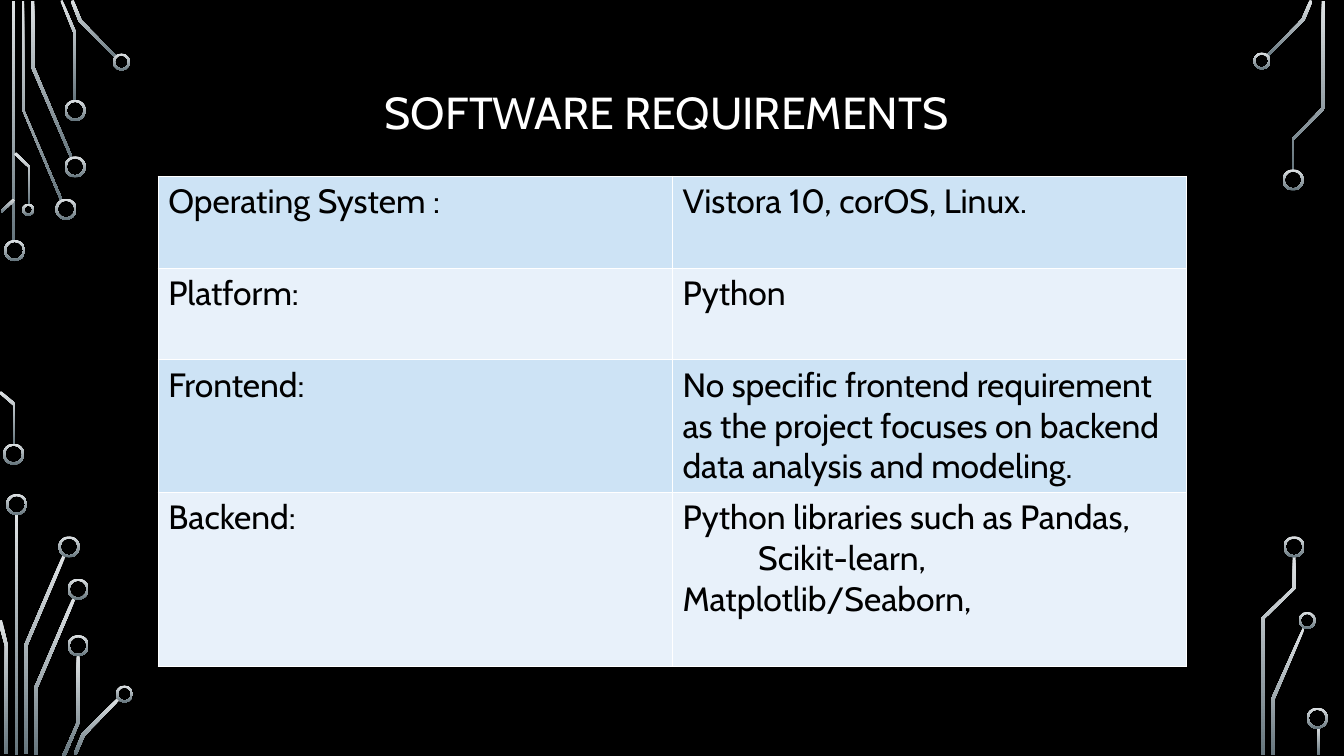
import pptx
import pptx.dml.color
import pptx.enum.shapes
import pptx.enum.text
import pptx.oxml
import pptx.oxml.ns
import pptx.util

RGB = pptx.dml.color.RGBColor
SHAPE = pptx.enum.shapes.MSO_SHAPE
BLACK = RGB(0x00, 0x00, 0x00)
WHITE = RGB(0xFF, 0xFF, 0xFF)
SILVER = RGB(0xDF, 0xE3, 0xE5)
SLATE = RGB(0x65, 0x75, 0x7D)
ROW_FILLS = (RGB(0xCD, 0xE3, 0xF5), RGB(0xE8, 0xF1, 0xFA))

BARS = [(12, 1, 3, 239), (15, 510, 3, 239), (1306, 721, 3, 28)]
RINGS = [
    (4, 238, 21), (3, 440, 21), (55, 197, 21), (64, 155, 21), (64, 99, 21),
    (112, 53, 17), (22, 202, 12), (6, 490, 21), (58, 532, 21), (67, 574, 21),
    (67, 630, 21), (115, 680, 17), (1243, 52, 17), (1272, 168, 21),
    (1288, 607, 17), (1273, 532, 21), (1296, 702, 21),
]
TRACES = [
    [(60, 199), (22, 109), (22, 1), (24, 1), (24, 109), (62, 198)],
    [(70, 157), (31, 67), (31, 1), (34, 1), (34, 66), (72, 156)],
    [(76, 100), (73, 100), (73, 33), (60, 1), (62, 0), (76, 33)],
    [(115, 58), (78, 21), (70, 1), (73, 0), (81, 20), (116, 56)],
    [(2, 211), (1, 209), (13, 197), (15, 199)],
    [(15, 441), (13, 441), (13, 402), (-1, 390), (1, 388), (15, 400)],
    [(30, 203), (28, 203), (28, 166), (14, 153), (16, 151), (30, 165)],
    [(27, 748), (24, 748), (24, 640), (62, 551), (65, 552), (27, 641)],
    [(8, 748), (5, 748), (5, 641), (-2, 616), (2, 615), (8, 641)],
    [(37, 749), (34, 749), (34, 682), (72, 593), (75, 594), (37, 683)],
    [(65, 750), (62, 749), (76, 717), (76, 650), (79, 650), (79, 717)],
    [(76, 749), (73, 748), (81, 728), (117, 692), (119, 694), (84, 730)],
    [(1258, 56), (1256, 55), (1291, 19), (1299, 0), (1302, 1), (1294, 20)],
    [(1264, 749), (1261, 749), (1261, 693), (1292, 623), (1294, 624), (1264, 694)],
    [(1283, 169), (1281, 169), (1281, 138), (1311, 107),
     (1311, 1), (1314, 1), (1314, 108), (1283, 139)],
    [(1254, 749), (1251, 749), (1251, 613), (1282, 583),
     (1282, 552), (1285, 552), (1285, 584), (1254, 614)],
]
REQUIREMENTS = [
    ("Operating System :", "Vistora 10, corOS, Linux."),
    ("Platform:", "Python"),
    ("Frontend:", "No specific frontend requirement as the project focuses "
                  "on backend data analysis and modeling."),
    ("Backend:", "Python libraries such as Pandas,\nScikit-learn, Matplotlib/Seaborn,"),
]
ROW_HEIGHTS = (91, 91, 131, 173)


class Deck:
    """Draws styled elements on the current slide, in px of 1/100 inch."""

    PX = 9144
    TITLE = {"name": "Cabin", "size": pptx.util.Pt(32), "color": WHITE}
    BODY = {"name": "Cabin", "size": pptx.util.Pt(24), "color": BLACK, "bold": False}

    def __init__(self, width, height):
        self.prs = pptx.Presentation()
        self.prs.slide_width, self.prs.slide_height = self.emu(width, height)
        self.s = self.prs.slides.add_slide(self.prs.slide_layouts[5])
        fill = self.s.background.fill
        fill.solid()
        fill.fore_color.rgb = BLACK

    def emu(self, *lengths):
        return [pptx.util.Emu(n * self.PX) for n in lengths]

    def format(self, font, style):
        for key, value in style.items():
            if key == "color":
                font.color.rgb = value
            else:
                setattr(font, key, value)

    def metal(self, sp):
        sp.shadow.inherit = False
        sp.line.fill.background()
        sp.fill.gradient()
        sp.fill.gradient_angle = 270
        for stop, color in zip(sp.fill.gradient_stops, (SILVER, SLATE)):
            stop.color.rgb = color

    def bar(self, x, y, w, h):
        self.metal(self.s.shapes.add_shape(SHAPE.RECTANGLE, *self.emu(x, y, w, h)))

    def ring(self, x, y, size):
        sp = self.s.shapes.add_shape(SHAPE.DONUT, *self.emu(x, y, size, size))
        sp.adjustments[0] = 2 / size
        self.metal(sp)

    def trace(self, points):
        builder = self.s.shapes.build_freeform(*points[0], scale=self.PX)
        builder.add_line_segments(points[1:], close=True)
        self.metal(builder.convert_to_shape())

    def title(self, text, x, y, w, h):
        sp = self.s.shapes.title
        sp.left, sp.top, sp.width, sp.height = self.emu(x, y, w, h)
        tf = sp.text_frame
        tf.text = text
        tf.word_wrap = True
        tf.auto_size = pptx.enum.text.MSO_AUTO_SIZE.NONE
        tf.vertical_anchor = pptx.enum.text.MSO_ANCHOR.MIDDLE
        p = tf.paragraphs[0]
        p.alignment = pptx.enum.text.PP_ALIGN.CENTER
        p.line_spacing = 0.9
        self.format(p.runs[0].font, self.TITLE)

    def borders(self, cell):
        tcPr = cell._tc.get_or_add_tcPr()
        for side in ("lnL", "lnR", "lnT", "lnB"):
            tcPr.append(pptx.oxml.parse_xml(
                f'<a:{side} {pptx.oxml.ns.nsdecls("a")} w="12700"><a:solidFill>'
                f'<a:srgbClr val="{WHITE}"/></a:solidFill></a:{side}>'))

    def cell(self, cell, text, color):
        self.borders(cell)
        cell.fill.solid()
        cell.fill.fore_color.rgb = color
        cell.text = text
        for i, p in enumerate(cell.text_frame.paragraphs):
            if i:
                p._p.get_or_add_pPr().set("indent", str(75 * self.PX))
            self.format(p.runs[0].font, self.BODY)

    def table(self, rows, heights, x, y, w):
        frame = self.s.shapes.add_table(
            len(rows), len(rows[0]), *self.emu(x, y, w, sum(heights)))
        table = frame.table
        table.first_row = table.horz_banding = False
        for i, (texts, height) in enumerate(zip(rows, heights)):
            table.rows[i].height = self.emu(height)[0]
            for j, text in enumerate(texts):
                self.cell(table.cell(i, j), text, ROW_FILLS[i % 2])


def main():
    deck = Deck(1333, 750)
    for bar in BARS:
        deck.bar(*bar)
    for points in TRACES:
        deck.trace(points)
    for ring in RINGS:
        deck.ring(*ring)
    deck.title("SOFTWARE REQUIREMENTS ", 125, 33, 1083, 162)
    deck.table(REQUIREMENTS, ROW_HEIGHTS, 157, 175, 1020)
    deck.prs.save("out.pptx")


if __name__ == "__main__":
    main()
